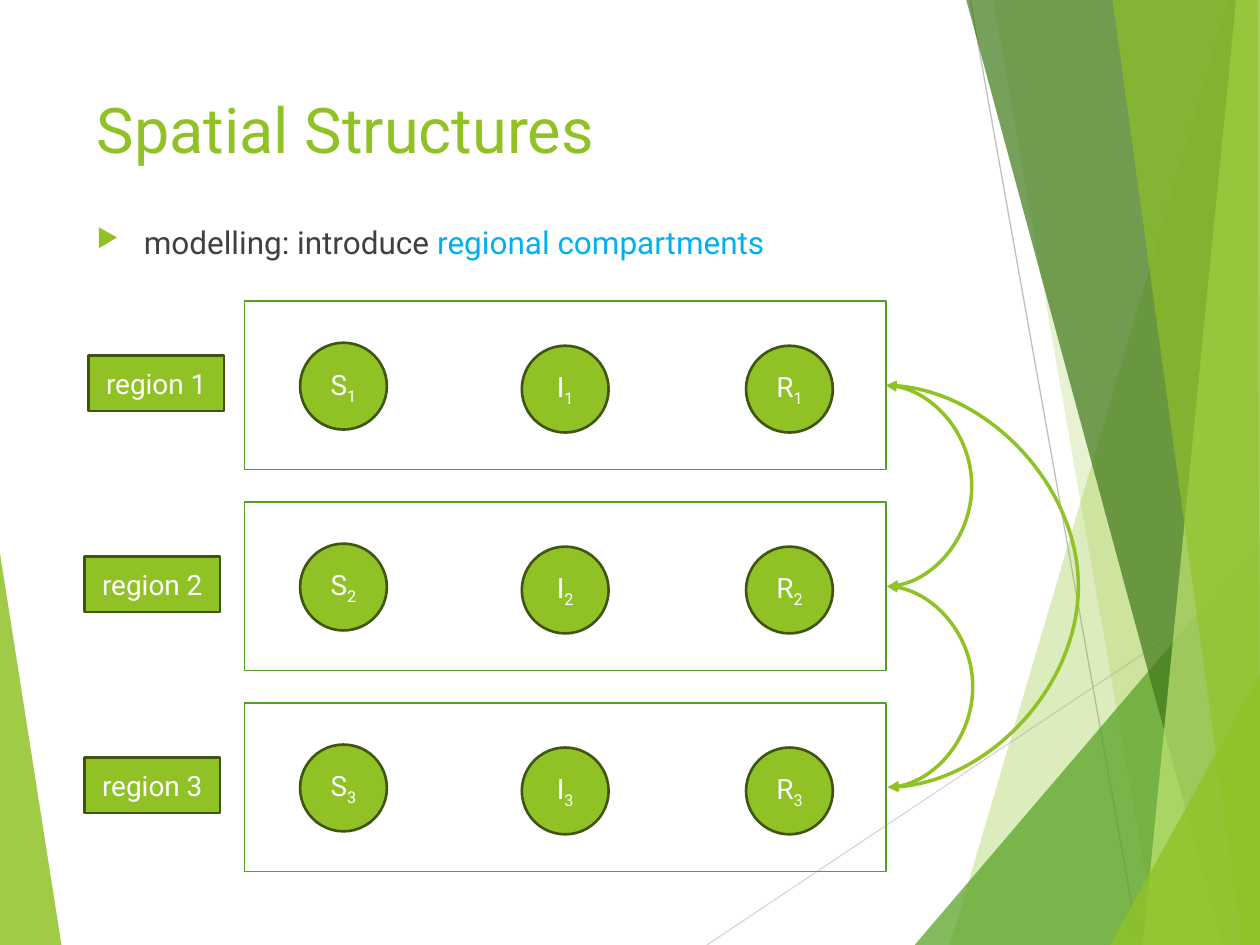
"""Build a slide showing regional compartments and the links between them."""
from dataclasses import dataclass

import lxml.etree
import pptx
import pptx.dml.color
import pptx.enum.shapes
import pptx.enum.text
import pptx.oxml.ns
import pptx.util

Cm = pptx.util.Cm
Pt = pptx.util.Pt
qn = pptx.oxml.ns.qn
MSO_SHAPE = pptx.enum.shapes.MSO_SHAPE
MSO_CONNECTOR = pptx.enum.shapes.MSO_CONNECTOR
PP_ALIGN = pptx.enum.text.PP_ALIGN
MSO_ANCHOR = pptx.enum.text.MSO_ANCHOR

COLORS = {
    "lime": "90C226",
    "green": "54A021",
    "forest": "3F7819",
    "pale": "C0E474",
    "outline": "3F5511",
    "text": "404040",
    "accent": "00B0F0",
    "white": "FFFFFF",
    "light_gray": "D9D9D9",
    "gray": "BFBFBF",
}
WIDTH, HEIGHT = 25.4, 19.05
FRAME_LEFT, FRAME_TOP, FRAME_WIDTH, FRAME_HEIGHT = 4.93, 6.07, 12.93, 3.4
ROW_STEP = 4.05
CIRCLE_SIZE = 1.75
LINK_SHIFT = 0.03


@dataclass
class Facet:
    points: list[tuple[float, float]]
    color: str
    opacity: int


@dataclass
class Ray:
    start: tuple[float, float]
    end: tuple[float, float]
    color: str


@dataclass
class Compartment:
    letter: str
    left: float
    offset: float


@dataclass
class Region:
    number: int
    label_left: float

    @property
    def top(self) -> float:
        return FRAME_TOP + (self.number - 1) * ROW_STEP

    @property
    def middle(self) -> float:
        return self.top + FRAME_HEIGHT / 2


@dataclass
class Link:
    start: Region
    end: Region
    left: float
    bulge: float


LEFT_FACET = Facet([(0, 11.15), (1.24, HEIGHT), (0, HEIGHT)], "lime", 85)
RAYS = [
    Ray((14.25, HEIGHT), (WIDTH, 11.61), "light_gray"),
    Ray((19.56, 0), (22.96, HEIGHT), "gray"),
]
RIGHT_FACETS = [
    Facet([(24.77, 0), (19.15, HEIGHT), (WIDTH, HEIGHT), (WIDTH, 0)], "lime", 30),
    Facet([(20.02, 0), (23.34, HEIGHT), (WIDTH, HEIGHT), (WIDTH, 0)], "lime", 20),
    Facet([(18.44, HEIGHT), (WIDTH, 10.9), (WIDTH, HEIGHT)], "green", 72),
    Facet([(19.48, 0), (24.64, HEIGHT), (WIDTH, HEIGHT), (WIDTH, 0)], "forest", 70),
    Facet([(24.92, 0), (23.04, HEIGHT), (WIDTH, HEIGHT), (WIDTH, 0)], "pale", 70),
    Facet([(22.43, 0), (25.04, HEIGHT), (WIDTH, HEIGHT), (25.35, 0)], "lime", 65),
    Facet([(22.38, HEIGHT), (WIDTH, 13.59), (WIDTH, HEIGHT)], "lime", 80),
]
COMPARTMENTS = [
    Compartment("S", 6.05, 0.84),
    Compartment("I", 10.52, 0.9),
    Compartment("R", 15.04, 0.9),
]
REGIONS = [Region(1, 1.78), Region(2, 1.7), Region(3, 1.7)]
LINKS = [
    Link(REGIONS[0], REGIONS[1], 17.86, 1.73),
    Link(REGIONS[1], REGIONS[2], 17.88, 1.73),
    Link(REGIONS[0], REGIONS[2], 17.86, 3.88),
]


def rgb(name: str) -> pptx.dml.color.RGBColor:
    return pptx.dml.color.RGBColor.from_string(COLORS[name])


def add_text(paragraph, text: str, *, size: float = 16, color: str = "white",
             baseline: int = 0) -> None:
    run = paragraph.add_run()
    run.text = text
    run.font.name = "Roboto"
    run.font.size = Pt(size)
    run.font.color.rgb = rgb(color)
    if baseline:
        run.font._element.set("baseline", str(baseline * 1000))


def draw_facet(slide, facet: Facet) -> None:
    points = [(Cm(x), Cm(y)) for x, y in facet.points]
    builder = slide.shapes.build_freeform(*points[0], scale=1.0)
    builder.add_line_segments(points[1:], close=True)
    shape = builder.convert_to_shape()
    shape.shadow.inherit = False
    shape.fill.solid()
    shape.fill.fore_color.rgb = rgb(facet.color)
    shape.line.fill.background()
    color = shape.element.spPr.find(f"{qn('a:solidFill')}/{qn('a:srgbClr')}")
    lxml.etree.SubElement(color, qn("a:alpha"), val=str(facet.opacity * 1000))


def draw_connector(slide, kind, start: tuple[float, float],
                   end: tuple[float, float], color: str, width: float):
    connector = slide.shapes.add_connector(
        kind, *(Cm(value) for value in (*start, *end)))
    connector.line.color.rgb = rgb(color)
    connector.line.width = Pt(width)
    lxml.etree.SubElement(connector.element.spPr, qn("a:effectLst"))
    return connector


def draw_link(slide, link: Link) -> None:
    connector = draw_connector(
        slide, MSO_CONNECTOR.CURVE, (link.left, link.start.middle),
        (link.left + LINK_SHIFT, link.end.middle), "lime", 2)
    properties = connector.element.spPr
    guides = properties.find(f"{qn('a:prstGeom')}/{qn('a:avLst')}")
    bend = round(link.bulge / LINK_SHIFT * 100000)
    lxml.etree.SubElement(guides, qn("a:gd"), name="adj1", fmla=f"val {bend}")
    for tag in ("a:headEnd", "a:tailEnd"):
        lxml.etree.SubElement(properties.find(qn("a:ln")), qn(tag), type="triangle")


def draw_shape(slide, kind, left: float, top: float, width: float, height: float,
               *, fill: str | None = "lime", line: str = "outline",
               line_width: float = 1.5):
    shape = slide.shapes.add_shape(kind, Cm(left), Cm(top), Cm(width), Cm(height))
    shape.shadow.inherit = False
    if fill:
        shape.fill.solid()
        shape.fill.fore_color.rgb = rgb(fill)
    else:
        shape.fill.background()
    shape.line.color.rgb = rgb(line)
    shape.line.width = Pt(line_width)
    shape.text_frame.vertical_anchor = MSO_ANCHOR.MIDDLE
    paragraph = shape.text_frame.paragraphs[0]
    paragraph.alignment = PP_ALIGN.CENTER
    return paragraph


def draw_region(slide, region: Region) -> None:
    for compartment in COMPARTMENTS:
        paragraph = draw_shape(slide, MSO_SHAPE.OVAL, compartment.left,
                               region.top + compartment.offset,
                               CIRCLE_SIZE, CIRCLE_SIZE)
        add_text(paragraph, compartment.letter)
        add_text(paragraph, str(region.number), baseline=-25)
    draw_shape(slide, MSO_SHAPE.RECTANGLE, FRAME_LEFT, region.top, FRAME_WIDTH,
               FRAME_HEIGHT, fill=None, line="green", line_width=0.75)
    label = draw_shape(slide, MSO_SHAPE.RECTANGLE, region.label_left,
                       region.top + 1.1, 2.74, 1.12)
    add_text(label, f"region {region.number}")


def draw_title(slide) -> None:
    title = slide.shapes.title
    title.left, title.top, title.width, title.height = Cm(1.7), Cm(1.7), Cm(17.63), Cm(2.16)
    title.text_frame.vertical_anchor = MSO_ANCHOR.TOP
    paragraph = title.text_frame.paragraphs[0]
    paragraph.alignment = PP_ALIGN.LEFT
    add_text(paragraph, "Spatial Structures", size=36, color="lime")
    title.element.getparent().append(title.element)


def draw_body(slide) -> None:
    box = slide.shapes.add_textbox(Cm(1.7), Cm(4.37), Cm(17.63), Cm(12.42))
    box.text_frame.word_wrap = True
    paragraph = box.text_frame.paragraphs[0]
    properties = paragraph._p.get_or_add_pPr()
    properties.set("marL", str(Cm(0.95)))
    properties.set("indent", str(Cm(-0.95)))
    bullet_color = lxml.etree.SubElement(properties, qn("a:buClr"))
    lxml.etree.SubElement(bullet_color, qn("a:srgbClr"), val=COLORS["lime"])
    lxml.etree.SubElement(properties, qn("a:buSzPct"), val="80000")
    lxml.etree.SubElement(properties, qn("a:buChar"), char="▶")
    add_text(paragraph, "modelling: introduce ", size=18, color="text")
    add_text(paragraph, "regional compartments", size=18, color="accent")


def main() -> None:
    presentation = pptx.Presentation()
    presentation.slide_width, presentation.slide_height = Cm(WIDTH), Cm(HEIGHT)
    slide = presentation.slides.add_slide(presentation.slide_layouts[5])
    draw_facet(slide, LEFT_FACET)
    for ray in RAYS:
        draw_connector(slide, MSO_CONNECTOR.STRAIGHT, ray.start, ray.end, ray.color, 0.75)
    for facet in RIGHT_FACETS:
        draw_facet(slide, facet)
    draw_title(slide)
    draw_body(slide)
    for region in REGIONS:
        draw_region(slide, region)
    for link in LINKS:
        draw_link(slide, link)
    presentation.save("out.pptx")


if __name__ == "__main__":
    main()
